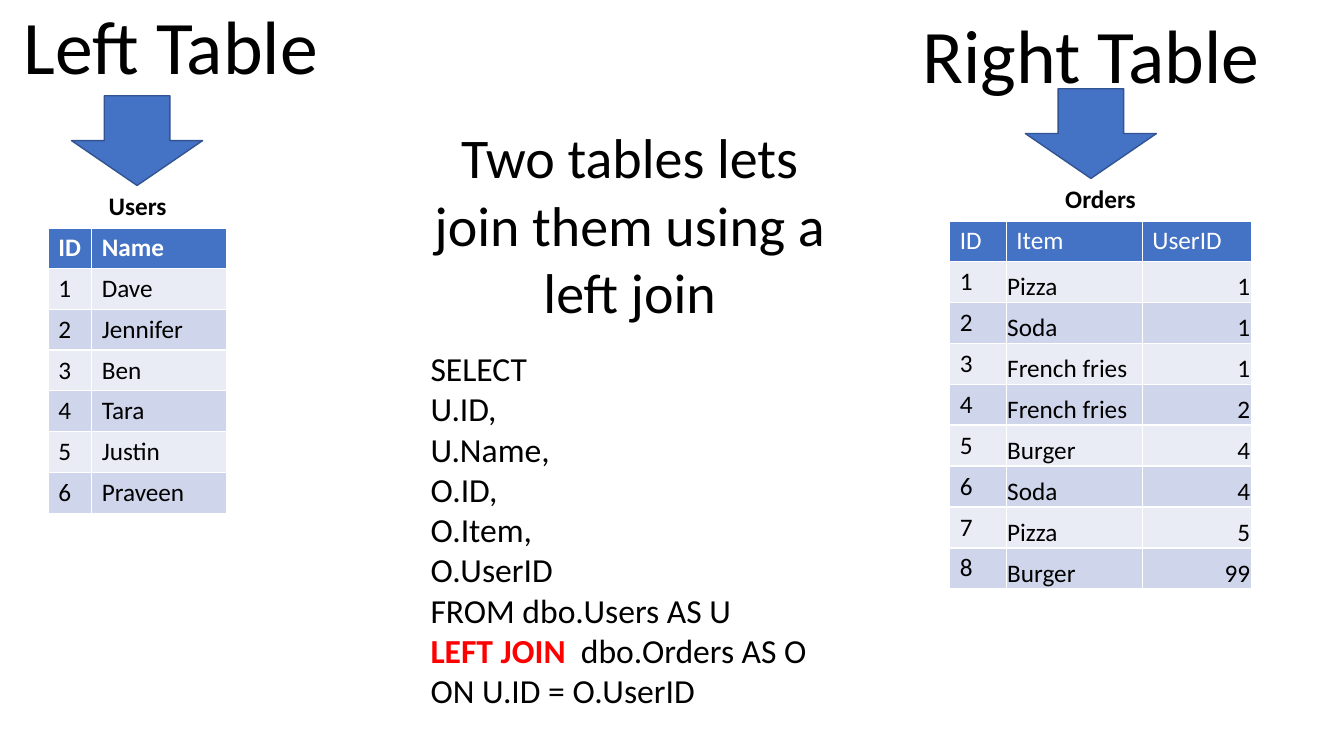
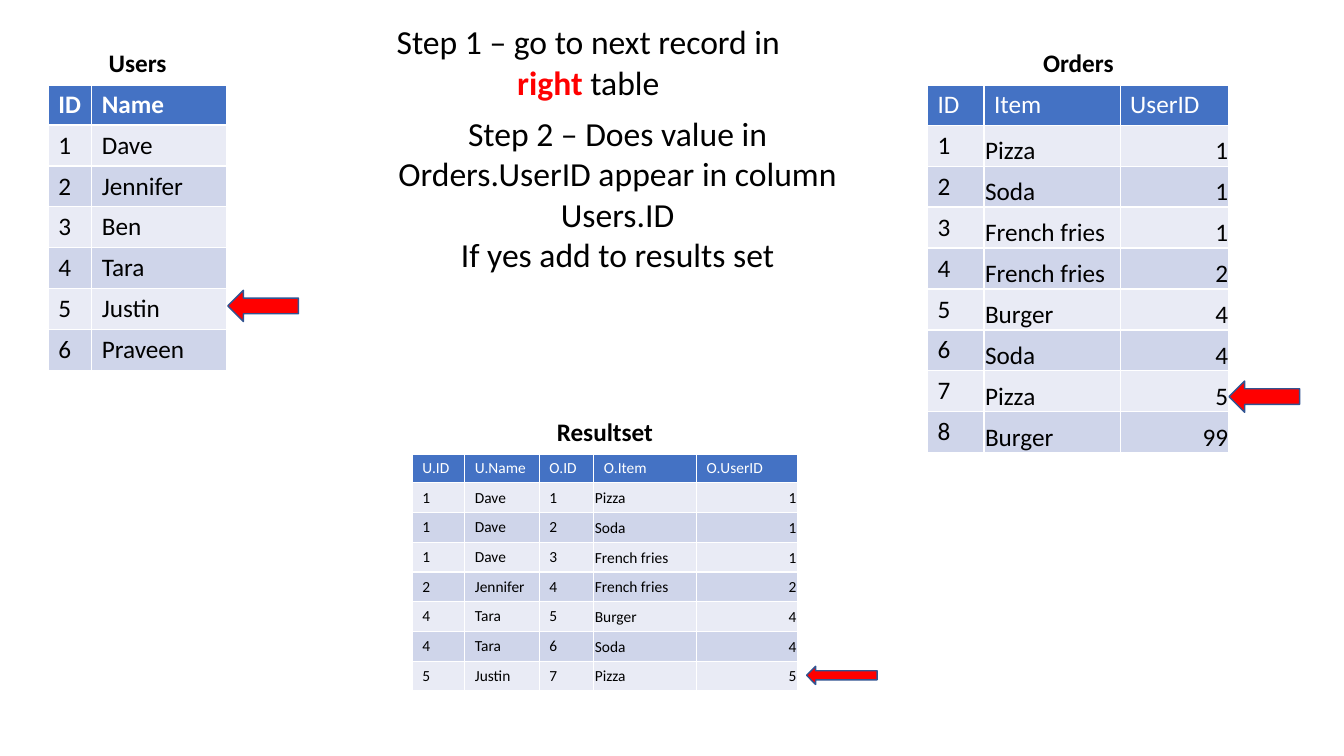
import pptx
import pptx.dml.color
import pptx.enum.shapes
import pptx.enum.text
import pptx.oxml
import pptx.oxml.ns
import pptx.util
from pptx.util import Inches

RGBColor = pptx.dml.color.RGBColor
Shape = pptx.enum.shapes.MSO_SHAPE
Align = pptx.enum.text.PP_ALIGN
Anchor = pptx.enum.text.MSO_ANCHOR
AutoSize = pptx.enum.text.MSO_AUTO_SIZE

BLACK = RGBColor(0x00, 0x00, 0x00)
WHITE = RGBColor(0xFF, 0xFF, 0xFF)
RED = RGBColor(0xFF, 0x00, 0x00)
BLUE = RGBColor(0x44, 0x72, 0xC4)
OUTLINE = RGBColor(0x32, 0x54, 0x91)
BANDS = (RGBColor(0xE9, 0xEB, 0xF5), RGBColor(0xCF, 0xD5, 0xEA))
FONT = "Calibri"
CAPTION_HEIGHT = 0.4

USERS = [(1, "Dave"), (2, "Jennifer"), (3, "Ben"), (4, "Tara"), (5, "Justin"), (6, "Praveen")]
ORDERS = [
    (1, "Pizza", 1), (2, "Soda", 1), (3, "French fries", 1), (4, "French fries", 2),
    (5, "Burger", 4), (6, "Soda", 4), (7, "Pizza", 5), (8, "Burger", 99),
]
NAMES = dict(USERS)
RESULTS = [(order[2], NAMES[order[2]], *order) for order in ORDERS if order[2] in NAMES]

USERS_TABLE = {
    "caption": "Users", "header": ("ID", "Name"), "records": USERS,
    "widths": (0.43, 1.34), "height": 3.24, "bold_header": True,
}
ORDERS_TABLE = {
    "caption": "Orders", "header": ("ID", "Item", "UserID"), "records": ORDERS,
    "widths": (0.56, 1.35, 1.08), "height": 4.06, "tight": 2, "tight_anchor": Anchor.BOTTOM,
}
RESULT_TABLE = {
    "caption": "Resultset", "header": ("U.ID", "U.Name", "O.ID", "O.Item", "O.UserID"),
    "records": RESULTS, "widths": (0.52, 0.74, 0.54, 1.02, 1), "height": 2.76, "size": 11,
    "tight": 2, "anchor": Anchor.MIDDLE, "tight_anchor": Anchor.MIDDLE,
}


def apply(target, values):
    for name, value in values.items():
        setattr(target, name, value)


def place(shape, box):
    apply(shape, dict(zip(("left", "top", "width", "height"), map(Inches, box))))


def add_span(para, text, size, color=BLACK, bold=False):
    span = para.add_run()
    span.text = text
    apply(span.font, {"name": FONT, "size": pptx.util.Pt(size), "bold": bold})
    span.font.color.rgb = color


def write_lines(shape, box, lines, size, align=Align.CENTER, wrap=True):
    frame = shape.text_frame
    apply(frame, {"word_wrap": wrap, "auto_size": AutoSize.NONE, "vertical_anchor": Anchor.TOP})
    place(shape, box)
    for index, line in enumerate(lines):
        para = frame.paragraphs[0] if index == 0 else frame.add_paragraph()
        apply(para, {"alignment": align, "space_before": pptx.util.Pt(0)})
        properties = para._p.get_or_add_pPr()
        properties.set("marL", "0")
        properties.set("indent", "0")
        properties.append(pptx.oxml.parse_xml(f'<a:buNone {pptx.oxml.ns.nsdecls("a")}/>'))
        for text, *emphasis in line:
            add_span(para, text, size, *emphasis)


def add_arrow(slide, kind, box, color):
    arrow = slide.shapes.add_shape(kind, *map(Inches, box))
    arrow.shadow.inherit = False
    arrow.fill.solid()
    arrow.fill.fore_color.rgb = color
    arrow.line.color.rgb = OUTLINE
    arrow.line.width = pptx.util.Pt(1)


def draw_borders(cell, bottom):
    properties = cell._tc.get_or_add_tcPr()
    for side, points in (("L", 1), ("R", 1), ("T", 1), ("B", bottom)):
        properties.append(pptx.oxml.parse_xml(
            f'<a:ln{side} {pptx.oxml.ns.nsdecls("a")} w="{pptx.util.Pt(points)}">'
            f'<a:solidFill><a:srgbClr val="{WHITE}"/></a:solidFill></a:ln{side}>'))


def fill_cell(cell, text, fill, size, color=BLACK, bold=False, align=Align.LEFT,
              anchor=Anchor.TOP, tight=False, bottom=1):
    draw_borders(cell, bottom)
    cell.fill.solid()
    cell.fill.fore_color.rgb = fill
    cell.vertical_anchor = anchor
    if tight:
        apply(cell, {"margin_left": Inches(0.01), "margin_right": Inches(0.01),
                     "margin_top": Inches(0.01), "margin_bottom": 0})
    para = cell.text_frame.paragraphs[0]
    para.alignment = align
    add_span(para, text, size, color, bold)


def add_record_table(slide, left, top, caption, header, records, widths, height, size=18,
                     bold_header=False, tight=0, anchor=Anchor.TOP, tight_anchor=Anchor.TOP):
    count = len(widths)
    box = (left, top, sum(widths), height)
    table = slide.shapes.add_table(len(records) + 2, count, *map(Inches, box)).table
    for column, width in zip(table.columns, widths):
        column.width = Inches(width)
    row_height = (height - CAPTION_HEIGHT) / (len(records) + 1)
    for index, row in enumerate(table.rows):
        row.height = Inches(row_height if index else CAPTION_HEIGHT)

    table.cell(0, 0).merge(table.cell(0, count - 1))
    fill_cell(table.cell(0, 0), caption, WHITE, 18, bold=True, align=Align.CENTER, bottom=3)
    for column, text in enumerate(header):
        fill_cell(table.cell(1, column), text, BLUE, size, WHITE, bold_header, anchor=anchor)
    for index, record in enumerate(records):
        for column, value in enumerate(record):
            is_tight = column >= count - tight
            is_last = is_tight and column == count - 1
            fill_cell(table.cell(index + 2, column), str(value), BANDS[index % 2], size,
                      align=Align.RIGHT if is_last else Align.LEFT,
                      anchor=tight_anchor if is_tight else anchor, tight=is_tight)


def add_labelled_table(slide, label, label_box, arrow_left, left, top, table):
    label_shape = slide.shapes.add_textbox(0, 0, 0, 0)
    write_lines(label_shape, label_box, [[(label,)]], 54, wrap=False)
    add_arrow(slide, Shape.DOWN_ARROW, (arrow_left, top - 0.9, 1.3, 0.89), BLUE)
    add_record_table(slide, left, top, **table)


def add_query_slide(deck):
    slide = deck.slides.add_slide(deck.slide_layouts[1])
    title, body = slide.placeholders
    write_lines(title, (4.16, 1.17, 4.17, 2.12),
                [[("Two tables lets join them using a left join",)]], 40)
    query = [[(text,)] for text in ("SELECT", "U.ID,", "U.Name,", "O.ID,", "O.Item,", "O.UserID",
                                    "FROM dbo.Users AS U")]
    query += [[("LEFT JOIN  ", RED, True), ("dbo.Orders AS O",)], [("ON U.ID = O.UserID",)]]
    write_lines(body, (4.17, 3.4, 4.28, 3.74), query, 24, Align.LEFT)
    add_labelled_table(slide, "Left Table", (0.11, -0.06, 3.17, 1.01), 0.71, 0.48, 1.85,
                       USERS_TABLE)
    add_labelled_table(slide, "Right Table", (9.03, 0.03, 3.58, 1.01), 10.17, 9.42, 1.78,
                       ORDERS_TABLE)


def add_steps_slide(deck):
    slide = deck.slides.add_slide(deck.slide_layouts[1])
    title, body = slide.placeholders
    write_lines(title, (3.75, 0.16, 4.17, 0.91),
                [[("Step 1 – go to next record in ",), ("right", RED, True), (" table",)]], 24)
    write_lines(body, (3.75, 1.07, 4.75, 1.72), [
        [("Step 2 – Does value in Orders.UserID appear in column",)],
        [("Users.ID",)],
        [("If yes add to results set",)],
    ], 24)
    for left, top, table in ((0.48, 0.43, USERS_TABLE), (9.2, 0.43, ORDERS_TABLE),
                             (4.09, 4.09, RESULT_TABLE)):
        add_record_table(slide, left, top, **table)
    for left, top, height in ((12.19, 3.78, 0.31), (2.26, 2.88, 0.31), (8, 6.61, 0.18)):
        add_arrow(slide, Shape.LEFT_ARROW, (left, top, 0.7, height), RED)


def main():
    deck = pptx.Presentation()
    apply(deck, {"slide_width": Inches(13.33), "slide_height": Inches(7.5)})
    add_query_slide(deck)
    add_steps_slide(deck)
    deck.save("out.pptx")


if __name__ == "__main__":
    main()
